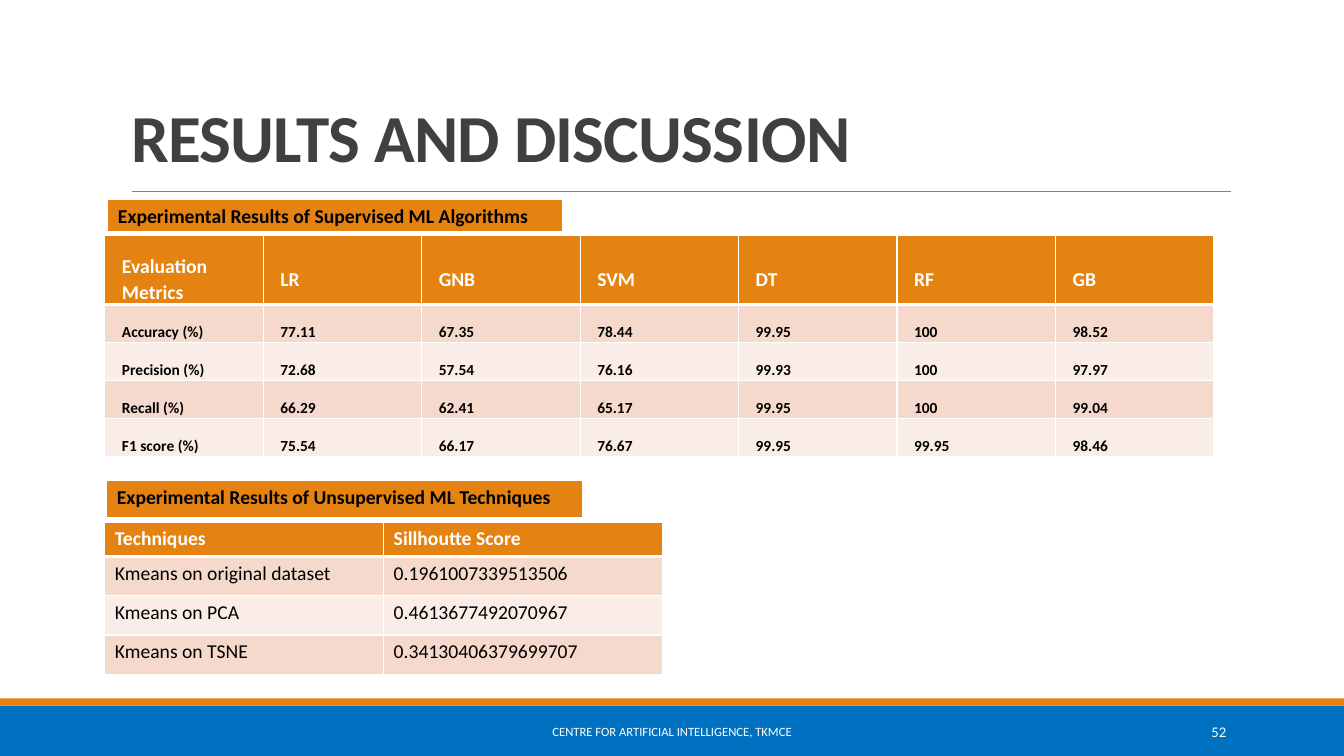
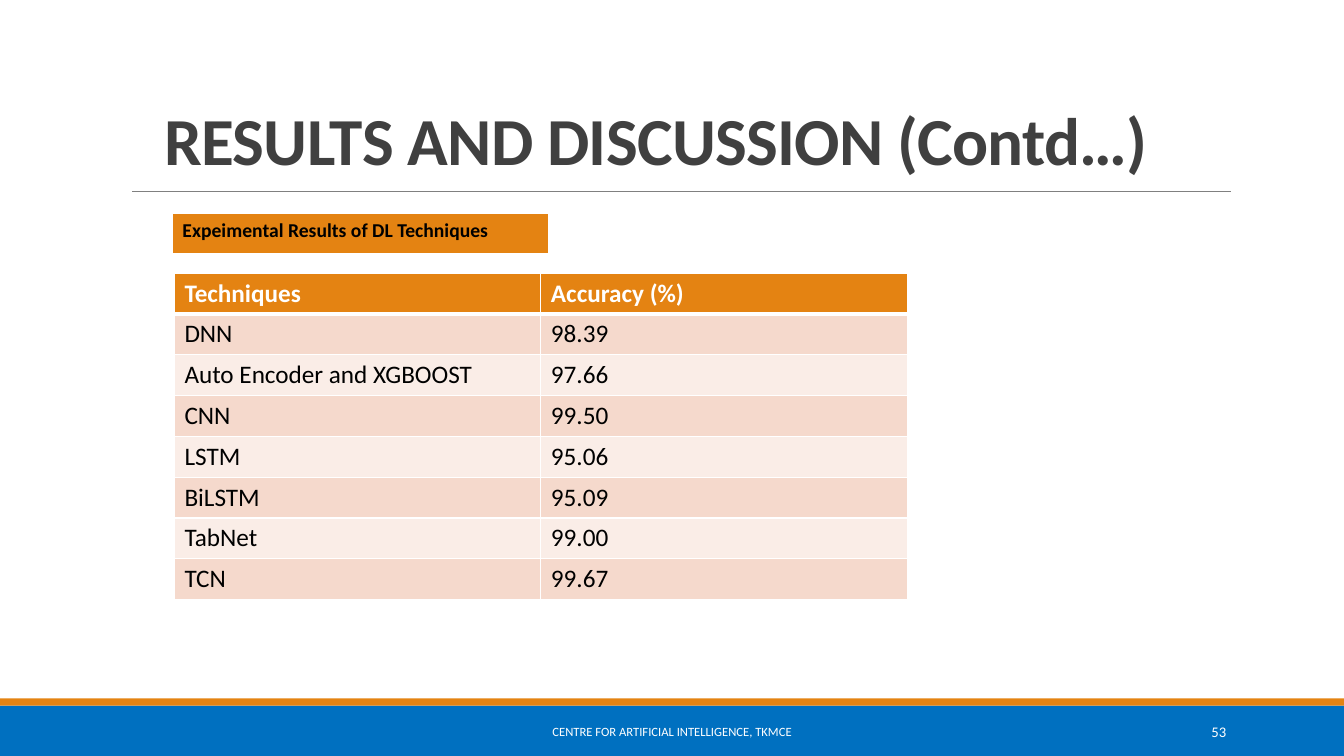
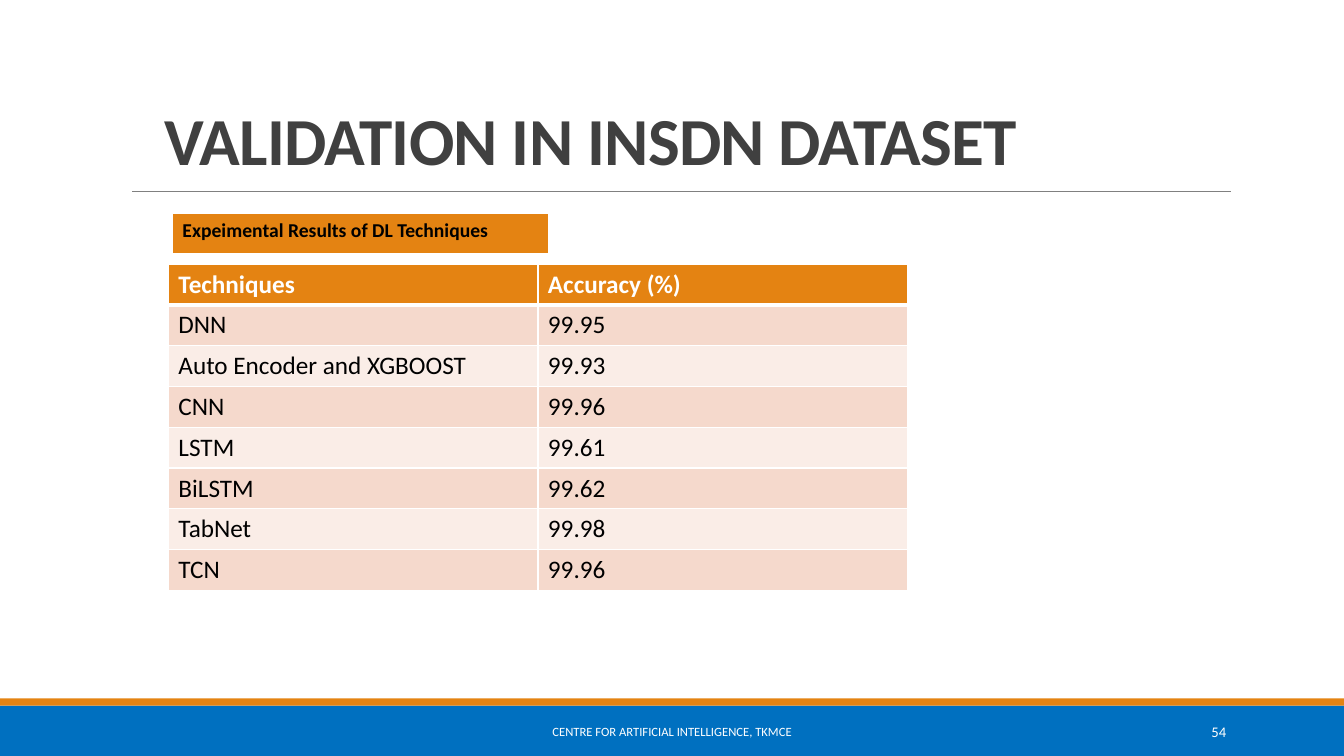
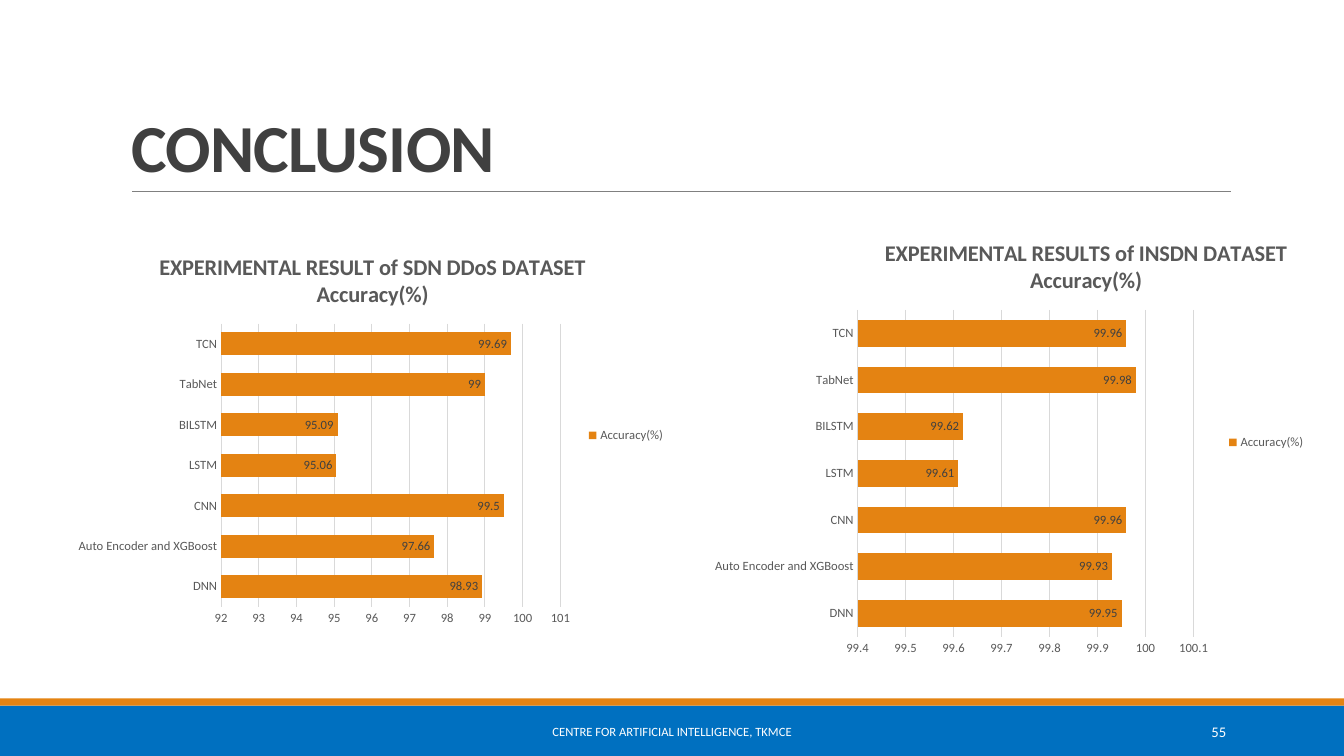
from dataclasses import dataclass
from typing import Any

from lxml import etree
from pptx import Presentation
from pptx.chart.data import CategoryChartData
from pptx.dml.color import RGBColor
from pptx.enum.chart import XL_CHART_TYPE, XL_LABEL_POSITION, XL_LEGEND_POSITION, XL_TICK_MARK
from pptx.enum.shapes import MSO_CONNECTOR, MSO_SHAPE
from pptx.enum.text import MSO_ANCHOR, MSO_AUTO_SIZE, PP_ALIGN
from pptx.oxml.ns import qn
from pptx.util import Inches, Pt

BAR = XL_CHART_TYPE.BAR_CLUSTERED
INSIDE_END = XL_LABEL_POSITION.INSIDE_END
LEGEND_RIGHT = XL_LEGEND_POSITION.RIGHT
NO_TICK = XL_TICK_MARK.NONE
STRAIGHT = MSO_CONNECTOR.STRAIGHT
RECTANGLE = MSO_SHAPE.RECTANGLE
TOP, MIDDLE, BOTTOM = MSO_ANCHOR.TOP, MSO_ANCHOR.MIDDLE, MSO_ANCHOR.BOTTOM
LEFT, CENTER, RIGHT = PP_ALIGN.LEFT, PP_ALIGN.CENTER, PP_ALIGN.RIGHT

BLUE = RGBColor(0x00, 0x70, 0xC0)
ORANGE = RGBColor(0xE4, 0x83, 0x12)
DARK_BAND = RGBColor(0xF5, 0xD9, 0xCC)
LIGHT_BAND = RGBColor(0xFA, 0xED, 0xE7)
BLACK = RGBColor(0x00, 0x00, 0x00)
WHITE = RGBColor(0xFF, 0xFF, 0xFF)
TITLE_GRAY = RGBColor(0x40, 0x40, 0x40)
CHART_GRAY = RGBColor(0x59, 0x59, 0x59)
GRID_GRAY = RGBColor(0xD9, 0xD9, 0xD9)
RULE_GRAY = RGBColor(0x80, 0x80, 0x80)

FONT = "Calibri"
FOOTER = "CENTRE FOR ARTIFICIAL INTELLIGENCE, TKMCE"
FIRST_PAGE_NUMBER = 52
SLIDE_WIDTH = 13.33

TECHNIQUES = ["DNN", "Auto Encoder and XGBOOST", "CNN", "LSTM", "BiLSTM", "TabNet", "TCN"]
CHART_CATEGORIES = ["DNN", "Auto Encoder and XGBoost", "CNN", "LSTM", "BILSTM", "TabNet", "TCN"]


@dataclass(frozen=True)
class Frame:
    left: float
    top: float
    width: float
    height: float

    def lengths(self) -> tuple[Inches, Inches, Inches, Inches]:
        return Inches(self.left), Inches(self.top), Inches(self.width), Inches(self.height)


@dataclass(frozen=True)
class Grid:
    frame: Frame
    rows: list[list[str]]
    header_height: float
    size: float = 14
    body_size: float = 14
    body_bold: bool = False
    header_color: RGBColor = WHITE
    header_anchor: MSO_ANCHOR = TOP
    margins: tuple[float, float, float, float] = (0.1, 0.05, 0.1, 0.05)
    line_spacing: float = 1.0


@dataclass(frozen=True)
class BarChart:
    frame: Frame
    title: str
    values: list[float]
    scale: tuple[float, float, float]
    plot_box: tuple[float, float, float, float]
    title_corner: tuple[float, float] | None = None


@dataclass(frozen=True)
class Page:
    title: str
    title_frame: Frame
    grids: tuple[Grid, ...] = ()
    charts: tuple[BarChart, ...] = ()


def style_font(font: Any, *, size: float, color: RGBColor, bold: bool = False) -> None:
    font.name, font.size, font.bold = FONT, Pt(size), bold
    font.color.rgb = color


def write_text(frame: Any, text: str, *, size: float, color: RGBColor, bold: bool = False,
               align: PP_ALIGN = LEFT, line_spacing: float = 1.0) -> None:
    para = frame.paragraphs[0]
    para.alignment, para.line_spacing = align, line_spacing
    span = para.add_run()
    span.text = text
    style_font(span.font, size=size, color=color, bold=bold)


def add_title(slide: Any, page: Page) -> None:
    title = slide.shapes.title
    title.left, title.top, title.width, title.height = page.title_frame.lengths()
    frame = title.text_frame
    frame.auto_size, frame.word_wrap = MSO_AUTO_SIZE.NONE, True
    frame.vertical_anchor = BOTTOM
    write_text(frame, page.title, size=48, color=TITLE_GRAY, bold=True, line_spacing=0.85)
    for properties in title.element.iter(qn("a:rPr")):
        properties.set("spc", "-50")


def add_band(slide: Any, frame: Frame, color: RGBColor) -> None:
    band = slide.shapes.add_shape(RECTANGLE, *frame.lengths())
    band.shadow.inherit = False
    band.fill.solid()
    band.fill.fore_color.rgb = color
    band.line.fill.background()


def add_label(slide: Any, frame: Frame, text: str, *, size: float, align: PP_ALIGN) -> None:
    box = slide.shapes.add_textbox(*frame.lengths())
    box.text_frame.word_wrap = True
    box.text_frame.vertical_anchor = MIDDLE
    write_text(box.text_frame, text, size=size, color=WHITE, align=align)


def add_furniture(slide: Any, number: int) -> None:
    """Draw the footer bands, the rule under the title and the footer texts."""
    add_band(slide, Frame(0, 7, SLIDE_WIDTH, 0.5), BLUE)
    add_band(slide, Frame(0, 6.93, SLIDE_WIDTH, 0.07), ORANGE)
    rule = slide.shapes.add_connector(STRAIGHT, Inches(1.31), Inches(1.9), Inches(12.21), Inches(1.9))
    rule.line.color.rgb, rule.line.width = RULE_GRAY, Pt(0.5)
    etree.SubElement(rule.element.spPr, qn("a:effectLst"))
    add_label(slide, Frame(4.03, 7.06, 5.27, 0.4), FOOTER, size=9, align=CENTER)
    add_label(slide, Frame(10.83, 7.06, 1.43, 0.4), str(number), size=10.5, align=RIGHT)


def set_borders(properties: Any, bottom_width: float) -> None:
    """Put white borders ahead of the fill in a cell's properties."""
    widths = {"a:lnL": 1, "a:lnR": 1, "a:lnT": 1, "a:lnB": bottom_width}
    for index, (tag, width) in enumerate(widths.items()):
        border = etree.Element(qn(tag), w=str(Pt(width)))
        fill = etree.SubElement(border, qn("a:solidFill"))
        etree.SubElement(fill, qn("a:srgbClr"), val=str(WHITE))
        properties.insert(index, border)


def add_grid(slide: Any, grid: Grid) -> None:
    row_count, column_count = len(grid.rows), len(grid.rows[0])
    table = slide.shapes.add_table(row_count, column_count, *grid.frame.lengths()).table
    for column in table.columns:
        column.width = Inches(grid.frame.width / column_count)
    for row_index, texts in enumerate(grid.rows):
        header = row_index == 0
        body_height = (grid.frame.height - grid.header_height) / max(row_count - 1, 1)
        table.rows[row_index].height = Inches(grid.header_height if header else body_height)
        band = ORANGE if header else DARK_BAND if row_index % 2 else LIGHT_BAND
        for column_index, text in enumerate(texts):
            cell = table.cell(row_index, column_index)
            (cell.margin_left, cell.margin_top,
             cell.margin_right, cell.margin_bottom) = map(Inches, grid.margins)
            cell.vertical_anchor = grid.header_anchor if header else TOP
            cell.fill.solid()
            cell.fill.fore_color.rgb = band
            write_text(cell.text_frame, text, size=grid.size if header else grid.body_size,
                       color=grid.header_color if header else BLACK,
                       bold=header or grid.body_bold, line_spacing=grid.line_spacing)
    for index, properties in enumerate(table.iter_cells()):
        set_borders(properties.text_frame._txBody.getparent().find(qn("a:tcPr")),
                    3 if index < column_count else 1)


def place_part(part: Any, index: int, **fractions: float) -> None:
    """Fix a chart part at fractions of the chart's size."""
    for automatic in part.findall(qn("c:layout")):
        part.remove(automatic)
    layout = etree.Element(qn("c:layout"))
    part.insert(index, layout)
    manual = etree.SubElement(layout, qn("c:manualLayout"))
    if "w" in fractions:
        etree.SubElement(manual, qn("c:layoutTarget"), val="inner")
    for mode in ("xMode", "yMode"):
        etree.SubElement(manual, qn(f"c:{mode}"), val="edge")
    for name, fraction in fractions.items():
        etree.SubElement(manual, qn(f"c:{name}"), val=str(fraction))


def add_bar_chart(slide: Any, bars: BarChart) -> None:
    data = CategoryChartData()
    data.categories = CHART_CATEGORIES
    data.add_series("Accuracy(%)", bars.values)
    chart = slide.shapes.add_chart(BAR, *bars.frame.lengths(), data).chart
    style_font(chart.font, size=10, color=BLACK)

    heading = chart.chart_title.text_frame
    for index, line in enumerate((bars.title, "Accuracy(%)")):
        para = heading.add_paragraph() if index else heading.paragraphs[0]
        span = para.add_run()
        span.text = line
        style_font(span.font, size=16, color=CHART_GRAY, bold=True)
    if bars.title_corner:
        x, y = bars.title_corner
        place_part(chart.chart_title.element, 1, x=x, y=y)
    x, y, width, height = bars.plot_box
    place_part(chart.element.find(f".//{qn('c:plotArea')}"), 0, x=x, y=y, w=width, h=height)

    chart.has_legend = True
    chart.legend.position = LEGEND_RIGHT
    chart.legend.include_in_layout = False
    style_font(chart.legend.font, size=9, color=CHART_GRAY)

    category_axis, value_axis = chart.category_axis, chart.value_axis
    for axis in (category_axis, value_axis):
        axis.major_tick_mark = axis.minor_tick_mark = NO_TICK
        style_font(axis.tick_labels.font, size=9, color=CHART_GRAY)
    value_axis.minimum_scale, value_axis.maximum_scale, value_axis.major_unit = bars.scale
    value_axis.format.line.fill.background()
    for line in (category_axis.format.line, value_axis.major_gridlines.format.line):
        line.color.rgb, line.width = GRID_GRAY, Pt(0.75)

    plot = chart.plots[0]
    plot.gap_width, plot.overlap, plot.vary_by_categories = 75, 40, False
    plot.has_data_labels = True
    plot.data_labels.show_value = True
    plot.data_labels.position = INSIDE_END
    style_font(plot.data_labels.font, size=9, color=TITLE_GRAY)
    series = plot.series[0]
    series.format.fill.solid()
    series.format.fill.fore_color.rgb = ORANGE


def caption(frame: Frame, text: str) -> Grid:
    return Grid(frame, [[text]], frame.height, header_color=BLACK)


def accuracy_grid(frame: Frame, accuracies: list[str]) -> Grid:
    rows = [["Techniques", "Accuracy (%)"], *map(list, zip(TECHNIQUES, accuracies))]
    return Grid(frame, rows, frame.height / len(rows), size=18, body_size=18)


CONTINUED_TITLE = Frame(1.53, 0.24, 11, 1.59)
DEEP_LEARNING_CAPTION = caption(Frame(1.71, 2.12, 3.73, 0.41), "Expeimental Results of DL Techniques")

PAGES = [
    Page("RESULTS AND DISCUSSION", Frame(1.2, 0.31, 11, 1.49), grids=(
        Grid(Frame(1.04, 2.34, 11, 2.19), [
            ["Evaluation Metrics", "LR", "GNB", "SVM", "DT", "RF", "GB"],
            ["Accuracy (%)", "77.11", "67.35", "78.44", "99.95", "100", "98.52"],
            ["Precision (%)", "72.68", "57.54", "76.16", "99.93", "100", "97.97"],
            ["Recall (%)", "66.29", "62.41", "65.17", "99.95", "100", "99.04"],
            ["F1 score (%)", "75.54", "66.17", "76.67", "99.95", "99.95", "98.46"],
        ], 0.68, body_size=11, body_bold=True, header_anchor=MIDDLE,
            margins=(0.17, 0.17, 0.17, 0), line_spacing=1.07),
        Grid(Frame(1.04, 5.18, 5.53, 1.51), [
            ["Techniques", "Sillhoutte Score"],
            ["Kmeans on original dataset", "0.1961007339513506"],
            ["Kmeans on PCA", "0.4613677492070967"],
            ["Kmeans on TSNE", "0.34130406379699707"],
        ], 0.34),
        caption(Frame(1.07, 1.98, 4.51, 0.33), "Experimental Results of Supervised ML Algorithms"),
        caption(Frame(1.06, 4.77, 4.72, 0.38), "Experimental Results of Unsupervised ML Techniques"),
    )),
    Page("RESULTS AND DISCUSSION (Contd…)", CONTINUED_TITLE, grids=(
        accuracy_grid(Frame(1.73, 2.71, 7.27, 3.24),
                      ["98.39", "97.66", "99.50", "95.06", "95.09", "99.00", "99.67"]),
        DEEP_LEARNING_CAPTION,
    )),
    Page("VALIDATION IN INSDN DATASET", CONTINUED_TITLE, grids=(
        accuracy_grid(Frame(1.67, 2.62, 7.33, 3.24),
                      ["99.95", "99.93", "99.96", "99.61", "99.62", "99.98", "99.96"]),
        DEEP_LEARNING_CAPTION,
    )),
    Page("CONCLUSION", Frame(1.2, 0.31, 11, 1.59), charts=(
        BarChart(Frame(6.99, 2.2, 6.06, 4.38), "EXPERIMENTAL RESULTS of INSDN DATASET",
                 [99.95, 99.93, 99.96, 99.61, 99.62, 99.98, 99.96], (99.4, 100.1, 0.1),
                 (0.25, 0.2, 0.55, 0.74), title_corner=(0.29, 0.03)),
        BarChart(Frame(0.69, 2.34, 6.01, 3.96), "EXPERIMENTAL RESULT of SDN DDoS DATASET",
                 [98.93, 97.66, 99.5, 95.06, 95.09, 99, 99.69], (92, 101, 1),
                 (0.25, 0.22, 0.56, 0.71)),
    )),
]


def main() -> None:
    deck = Presentation()
    deck.slide_width, deck.slide_height = Inches(SLIDE_WIDTH), Inches(7.5)
    title_only = deck.slide_layouts[5]
    for number, page in enumerate(PAGES, FIRST_PAGE_NUMBER):
        slide = deck.slides.add_slide(title_only)
        add_furniture(slide, number)
        add_title(slide, page)
        for grid in page.grids:
            add_grid(slide, grid)
        for bars in page.charts:
            add_bar_chart(slide, bars)
    deck.save("out.pptx")


if __name__ == "__main__":
    main()
